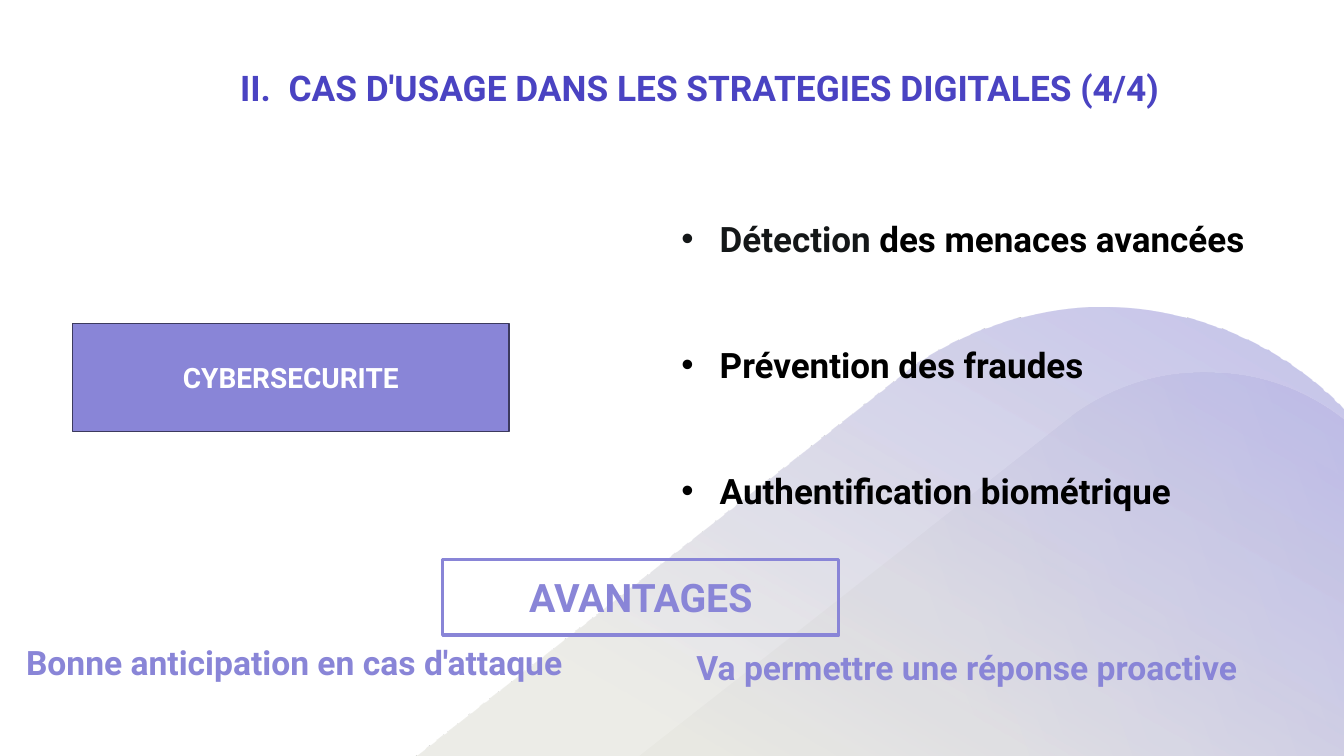
from pptx import Presentation
from pptx.dml.color import RGBColor
from pptx.enum.shapes import MSO_SHAPE
from pptx.enum.text import MSO_ANCHOR, PP_ALIGN
from pptx.oxml.ns import qn
from pptx.util import Inches, Pt
from lxml.etree import SubElement

FONT = "Roboto"
INDIGO = "4A43C2"
LAVENDER = "8985D7"
HILL_COLORS = ("E8E8E2", "B8B6E7")


def rgb(value):
    """Turn a hex string into a colour."""
    return RGBColor.from_string(value)


def add_text(p, text, size=24, color=LAVENDER, bold=True, align=None):
    """Append a formatted run to a paragraph."""
    r = p.add_run()
    r.text = text
    r.font.name = FONT
    r.font.size = Pt(size)
    r.font.bold = bold
    r.font.color.rgb = rgb(color)
    if align is not None:
        p.alignment = align


class Deck:
    """Hold the current slide and draw its elements."""

    def __init__(self):
        """Open a presentation with one title-only slide."""
        self.prs = Presentation()
        self.prs.slide_width = Inches(13.33)
        self.prs.slide_height = Inches(7.5)
        self.s = self.prs.slides.add_slide(self.prs.slide_layouts[5])

    def title(self, text, left, top, width, height):
        """Place the title, right-aligned at the bottom of its box."""
        sp = self.s.shapes.title
        sp.left, sp.top = Inches(left), Inches(top)
        sp.width, sp.height = Inches(width), Inches(height)
        tf = sp.text_frame
        tf.vertical_anchor = MSO_ANCHOR.BOTTOM
        add_text(tf.paragraphs[0], text, size=25.2, color=INDIGO,
                 align=PP_ALIGN.RIGHT)

    def hill(self, start, segments, stops, angle, alphas=()):
        """Draw a gradient hill; three-point segments are Bezier curves."""
        segments = [[(Inches(x), Inches(y)) for x, y in segment]
                    for segment in segments]
        fb = self.s.shapes.build_freeform(Inches(start[0]), Inches(start[1]))
        fb.add_line_segments([segment[-1] for segment in segments])
        sp = fb.convert_to_shape()
        lines = list(sp._element.iter(qn("a:lnTo")))
        for line, segment in zip(lines, segments):
            if len(segment) == 3:
                bezier = SubElement(line.getparent(), qn("a:cubicBezTo"))
                for x, y in segment:
                    SubElement(bezier, qn("a:pt"), x=str(x - sp.left),
                               y=str(y - sp.top))
                line.getparent().replace(line, bezier)
        sp.shadow.inherit = False
        sp.line.fill.background()
        sp.fill.gradient()
        sp.fill.gradient_angle = angle
        for stop, position, color in zip(sp.fill.gradient_stops, stops,
                                         HILL_COLORS):
            stop.position = position
            stop.color.rgb = rgb(color)
        colors = sp._element.spPr.iter(qn("a:srgbClr"))
        for color, alpha in zip(colors, alphas):
            SubElement(color, qn("a:alpha"), val=str(alpha * 1000))

    def box(self, text, left, top, width, height, size, color, line,
            weight, fill=None):
        """Draw a rectangle with a centred label."""
        sp = self.s.shapes.add_shape(MSO_SHAPE.RECTANGLE, Inches(left),
                                     Inches(top), Inches(width),
                                     Inches(height))
        sp.shadow.inherit = False
        if fill:
            sp.fill.solid()
            sp.fill.fore_color.rgb = rgb(fill)
        else:
            sp.fill.background()
        sp.line.color.rgb = rgb(line)
        sp.line.width = Pt(weight)
        tf = sp.text_frame
        tf.vertical_anchor = MSO_ANCHOR.MIDDLE
        add_text(tf.paragraphs[0], text, size=size, color=color,
                 align=PP_ALIGN.CENTER)

    def text_box(self, left, top, width, height):
        """Add a wrapping text box and return its text frame."""
        sp = self.s.shapes.add_textbox(Inches(left), Inches(top),
                                       Inches(width), Inches(height))
        sp.text_frame.word_wrap = True
        return sp.text_frame

    def note(self, text, *place):
        """Write a one-line statement."""
        add_text(self.text_box(*place).paragraphs[0], text)

    def bullets(self, items, *place):
        """Write a widely spaced bullet list of (text, colour) runs."""
        tf = self.text_box(*place)
        for i, runs in enumerate(items):
            p = tf.add_paragraph() if i else tf.paragraphs[0]
            if i:
                p.space_before = Pt(60)
            pPr = p._p.get_or_add_pPr()
            pPr.set("marL", str(Inches(0.38)))
            pPr.set("indent", str(-Inches(0.38)))
            SubElement(pPr, qn("a:buFont"), typeface="Arial")
            SubElement(pPr, qn("a:buChar"), char="•")
            for text, color in runs:
                add_text(p, text, size=25, color=color)


def main():
    """Build the slide and save it."""
    deck = Deck()
    deck.hill((11.99, 3.7), [
        [(12.47, 3.7), (12.94, 3.86), (13.33, 4.17)],
        [(13.33, 7.5)], [(6.34, 7.5)], [(10.62, 4.14)], [(10.67, 4.1)],
        [(11.03, 3.85), (11.45, 3.71), (11.86, 3.7)],
        [(11.91, 3.7), (11.95, 3.69), (11.99, 3.7)],
    ], (0.39, 1), 20)
    deck.hill((10.99, 3.05), [
        [(11.82, 3.06), (12.65, 3.39), (13.27, 4.01)],
        [(13.33, 4.08)], [(13.33, 7.5)], [(4.12, 7.5)],
        [(8.95, 3.71)], [(9.02, 3.65)],
        [(9.56, 3.27), (10.17, 3.08), (10.79, 3.05)],
        [(10.86, 3.05), (10.92, 3.05), (10.99, 3.05)],
    ], (0.18, 1), 60, alphas=(79, 84))
    deck.title("II.  CAS D'USAGE DANS LES STRATEGIES DIGITALES (4/4)",
               1.28, 0.21, 10.32, 0.92)
    deck.box("CYBERSECURITE", 0.72, 3.21, 4.33, 1.07, size=20,
             color="FFFFFF", line="3C3A5E", weight=1, fill=LAVENDER)
    deck.bullets([
        [("Détection", "141718"), (" des menaces avancées", "000000")],
        [("Prévention des fraudes", "000000")],
        [("Authentification biométrique", "000000")],
    ], 6.66, 2.11, 6.49, 3.05)
    deck.note("Bonne anticipation en cas d'attaque", 0.16, 6.32, 6.19, 0.5)
    deck.note("Va permettre une réponse proactive", 6.81, 6.37, 6.06, 0.5)
    deck.box("AVANTAGES", 4.39, 5.55, 3.93, 0.75, size=28,
             color=LAVENDER, line=LAVENDER, weight=2.25)
    deck.prs.save("out.pptx")


if __name__ == "__main__":
    main()
